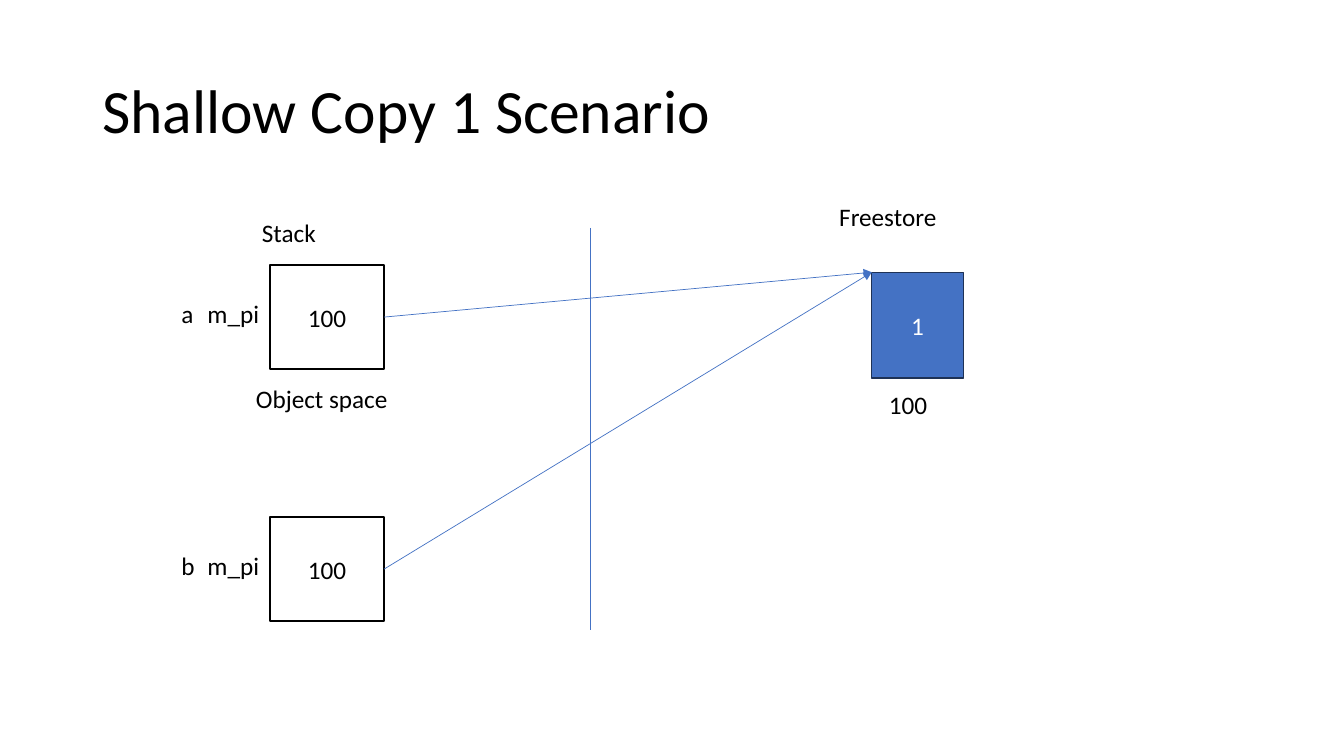
from dataclasses import dataclass

from lxml import etree
from pptx import Presentation
from pptx import util as u
from pptx.dml.color import RGBColor
from pptx.enum import shapes, text
from pptx.oxml import ns
from pptx.shapes.autoshape import Shape
from pptx.slide import Slide


@dataclass(frozen=True)
class Theme:
    font: str = "Calibri"
    head: float = 44
    body: float = 18
    ink: str = "000000"
    paper: str = "FFFFFF"
    blue: str = "4472C4"
    navy: str = "1E3256"
    edge: float = 1
    thin: float = 0.5


@dataclass(frozen=True)
class Label:
    words: str
    left: float
    top: float
    width: float


@dataclass(frozen=True)
class Box:
    words: str
    left: float
    top: float
    width: float
    height: float
    fill: str
    line: str
    ink: str


@dataclass(frozen=True)
class Link:
    x1: float
    y1: float
    x2: float
    y2: float
    arrow: bool = True


THEME = Theme()
PITCH = 6.35
ROWS = [(name, 6.68 + i * PITCH, width)
        for i, (name, width) in enumerate([("a", 0.81), ("b", 0.86)])]

HEAP = Box("1", 21.97, 6.86, 2.31, 2.67, THEME.blue, THEME.navy, THEME.paper)
CELLS = [Box("100", 6.81, top, 2.87, 2.62, THEME.paper, THEME.ink, THEME.ink)
         for _, top, _ in ROWS]
LABELS = [
    Label("Stack", 6.35, 5.36, 1.88),
    Label("Freestore", 20.9, 4.95, 3),
    Label("Object space", 6.2, 9.53, 3.86),
    Label("100", 22.15, 9.68, 1.5),
]
for name, top, width in ROWS:
    LABELS += [Label(name, 4.32, top + 0.71, width),
               Label("m_pi", 4.98, top + 0.71, 1.83)]
LINKS = [Link(14.88, 5.74, 14.88, 15.88, arrow=False)]
LINKS += [Link(c.left + c.width, c.top + c.height / 2, HEAP.left, HEAP.top)
          for c in CELLS]


def write(shape: Shape, words: str, size: float, ink: str) -> None:
    shape.text_frame.text = words
    font = shape.text_frame.paragraphs[0].runs[0].font
    font.name = THEME.font
    font.size = u.Pt(size)
    font.color.rgb = RGBColor.from_string(ink)


def add_title(slide: Slide, words: str) -> None:
    shape = slide.shapes.add_textbox(u.Cm(2.33), u.Cm(1.01), u.Cm(29.21), u.Cm(3.68))
    write(shape, words, THEME.head, THEME.ink)
    frame = shape.text_frame
    frame.word_wrap = True
    frame.vertical_anchor = text.MSO_ANCHOR.MIDDLE
    frame.paragraphs[0].line_spacing = 0.9


def add_label(slide: Slide, label: Label) -> None:
    shape = slide.shapes.add_textbox(
        u.Cm(label.left), u.Cm(label.top), u.Cm(label.width), u.Cm(1.02))
    write(shape, label.words, THEME.body, THEME.ink)
    shape.text_frame.word_wrap = False
    shape.text_frame.auto_size = text.MSO_AUTO_SIZE.SHAPE_TO_FIT_TEXT


def add_box(slide: Slide, box: Box) -> None:
    shape = slide.shapes.add_shape(
        shapes.MSO_SHAPE.RECTANGLE,
        u.Cm(box.left), u.Cm(box.top), u.Cm(box.width), u.Cm(box.height))
    shape.shadow.inherit = False
    shape.fill.solid()
    shape.fill.fore_color.rgb = RGBColor.from_string(box.fill)
    shape.line.color.rgb = RGBColor.from_string(box.line)
    shape.line.width = u.Pt(THEME.edge)
    write(shape, box.words, THEME.body, box.ink)
    shape.text_frame.vertical_anchor = text.MSO_ANCHOR.MIDDLE
    shape.text_frame.paragraphs[0].alignment = text.PP_ALIGN.CENTER


def add_link(slide: Slide, link: Link) -> None:
    wire = slide.shapes.add_connector(
        shapes.MSO_CONNECTOR.STRAIGHT,
        u.Cm(link.x1), u.Cm(link.y1), u.Cm(link.x2), u.Cm(link.y2))
    wire.line.color.rgb = RGBColor.from_string(THEME.blue)
    wire.line.width = u.Pt(THEME.thin)
    props = wire.element.spPr
    if link.arrow:
        etree.SubElement(props.find(ns.qn("a:ln")), ns.qn("a:tailEnd"), type="triangle")
    etree.SubElement(props, ns.qn("a:effectLst"))


def main() -> None:
    deck = Presentation()
    deck.slide_width, deck.slide_height = u.Cm(33.87), u.Cm(19.05)
    slide = deck.slides.add_slide(deck.slide_layouts[6])
    add_title(slide, "Shallow Copy 1 Scenario")
    for box in [*CELLS, HEAP]:
        add_box(slide, box)
    for label in LABELS:
        add_label(slide, label)
    for link in LINKS:
        add_link(slide, link)
    deck.save("out.pptx")


if __name__ == "__main__":
    main()
